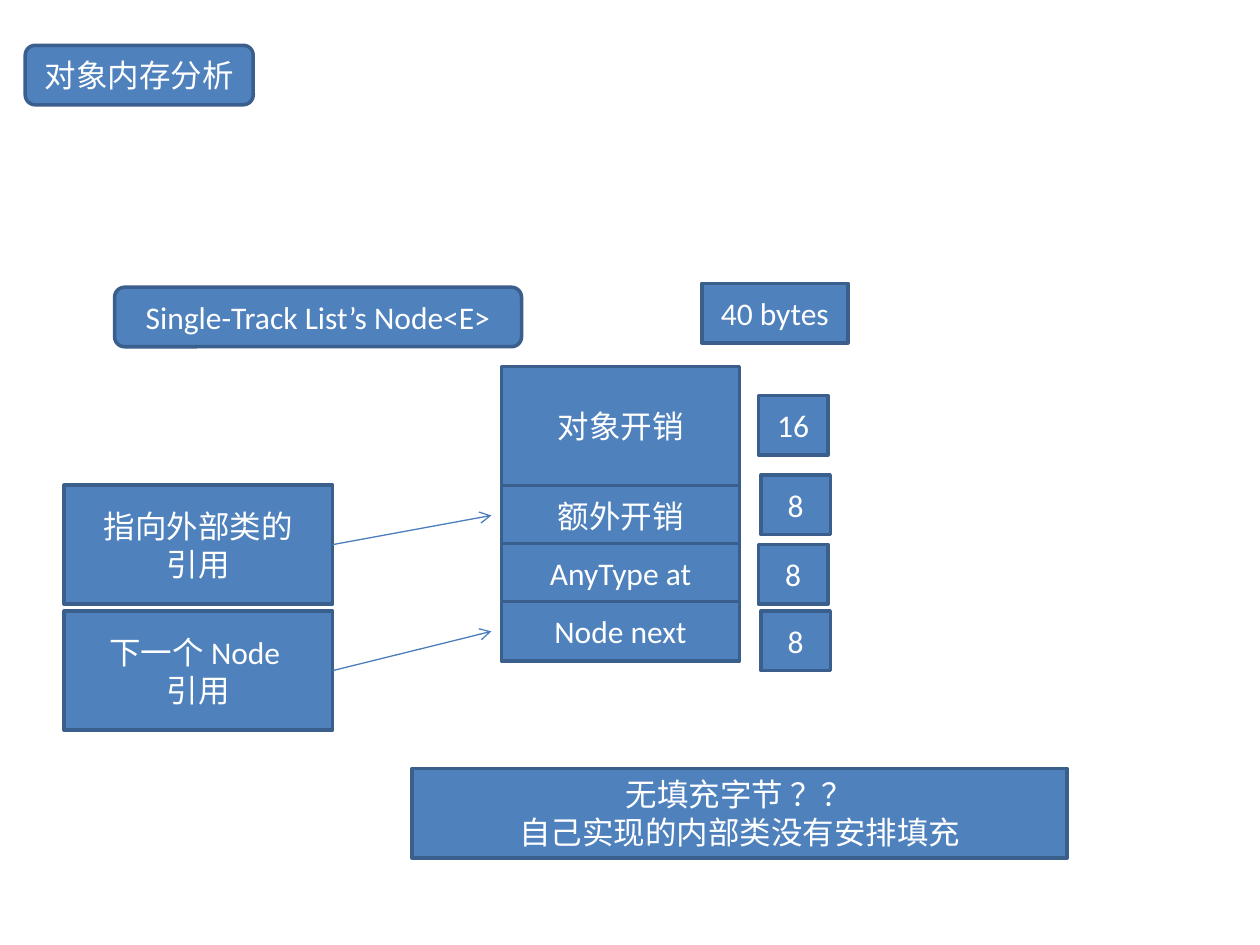
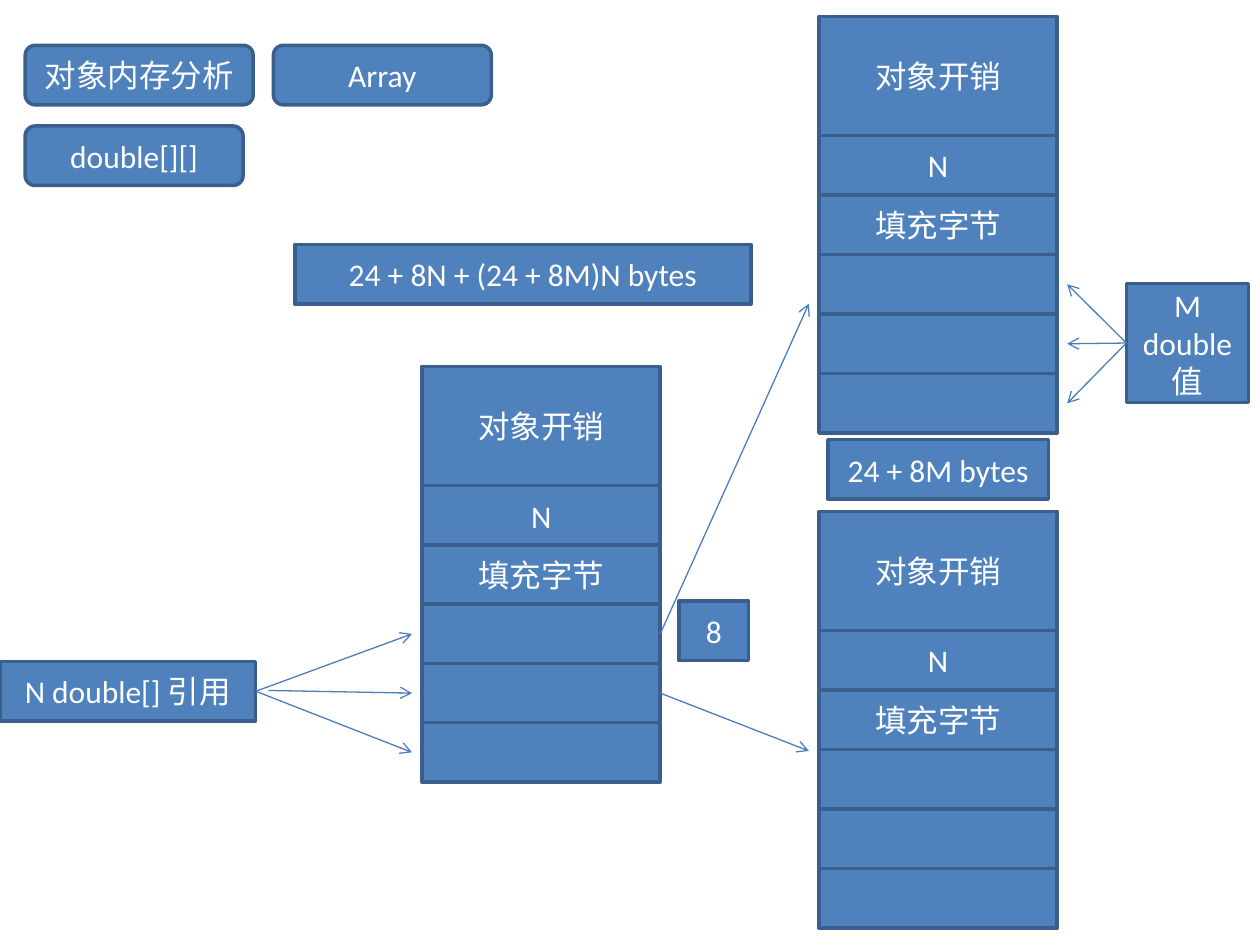
"""Build two slides on the memory layout of list nodes and 2-D arrays."""
from lxml import etree
from pptx import Presentation
from pptx import util as u
from pptx.dml.color import RGBColor
from pptx.enum import shapes, text
from pptx.oxml import ns

FILL = RGBColor(0x4F, 0x81, 0xBD)
EDGE = RGBColor(0x3A, 0x5F, 0x8C)
WIRE = RGBColor(0x4B, 0x7E, 0xBC)
INK = RGBColor(0xFF, 0xFF, 0xFF)
FONT = "Calibri"
WIDE, HIGH = 10, 7.5
ROW = u.Cm(1.2).inches
CELL = 1.89
CHIP = 0.55
GAP = 0.08
LEFT, RIGHT = 1, 3

TITLE = ("对象内存分析", 0.2, 0.36, 1.81)
ARRAY = ["对象开销", "N", "填充字节", "", "", ""]

# Tags and boxes: text, left, top, width (boxes also: name, rows high).
# Stacks: name, left, top, row pitch, row texts.
NODE = {
    "tags": [TITLE, ("Single-Track List’s Node<E>", 0.91, 2.28, 3.23)],
    "stacks": [("node", 3.98, 2.91, 0.46,
                ["对象开销", "额外开销", "AnyType at", "Node next"])],
    "boxes": [
        ("size", "40 bytes", 5.57, 2.25, 1.16, 1),
        ("head", "16", 6.02, 3.14, CHIP, 1),
        ("extra", "8", 6.04, 3.77, CHIP, 1),
        ("item", "8", 6.02, 4.32, CHIP, 1),
        ("link", "8", 6.04, 4.85, CHIP, 1),
        ("outer", "指向外部类的\n引用", 0.51, 3.85, 2.13, 2),
        ("next", "下一个 Node \n引用", 0.51, 4.85, 2.13, 2),
        ("note", "无填充字节 ？？\n自己实现的内部类没有安排填充", 3.27, 6.1, 5.2, 1.5),
    ],
    "wires": [("outer", RIGHT, "node", 1, LEFT), ("next", RIGHT, "node", 3, LEFT)],
}
GRID = {
    "tags": [TITLE, ("Array", 2.17, 0.36, 1.73), ("double[][]", 0.2, 1, 1.73)],
    "stacks": [("main", 3.35, 2.91, 0.47, ARRAY),
               ("top", 6.5, 0.13, ROW, ARRAY),
               ("low", 6.5, 4.06, ROW, ARRAY)],
    "boxes": [
        ("total", "24 + 8N + (24 + 8M)N bytes", 2.34, 1.94, 3.62, 1),
        ("refs", "N double[] 引用", 0, 5.25, 2.03, 1),
        ("part", "24 + 8M bytes", 6.57, 3.49, 1.75, 1),
        ("eight", "8", 5.39, 4.77, CHIP, 1),
        ("vals", "M double 值", 8.94, 2.25, 0.97, 2),
    ],
    "wires": [("refs", RIGHT, "main", 3, LEFT),
              ((2.13, 5.48), RIGHT, "main", 4, LEFT),
              ("refs", RIGHT, "main", 5, LEFT),
              (("main", 3), RIGHT, (6.42, 2.41)),
              (("main", 4), RIGHT, "low", 3.5, LEFT)]
             + [("vals", LEFT, "top", row, RIGHT) for row in (3, 4, 5)],
}
GRID["wires"][4] = (("main", 4), RIGHT, (6.42, 5.96))


def box(slide, words, left, top, wide, rows=1, kind=shapes.MSO_SHAPE.RECTANGLE):
    """Draw one framed box with centred text."""
    spot = [u.Inches(n) for n in (left, top, wide, rows * ROW)]
    shape = slide.shapes.add_shape(kind, *spot)
    shape.shadow.inherit = False
    shape.fill.solid()
    shape.fill.fore_color.rgb = FILL
    shape.line.color.rgb = EDGE
    shape.line.width = u.Pt(2)
    frame = shape.text_frame
    frame.word_wrap = True
    frame.vertical_anchor = text.MSO_ANCHOR.MIDDLE
    for i, line in enumerate(words.split("\n") if words else []):
        para = frame.add_paragraph() if i else frame.paragraphs[0]
        para.alignment = text.PP_ALIGN.CENTER
        run = para.add_run()
        run.text = line
        run.font.name, run.font.size = FONT, u.Pt(18)
        run.font.color.rgb = INK
    return shape


def stack(slide, left, top, pitch, words):
    """Draw a double-height head cell and single cells below it."""
    cells = [box(slide, words[0], left, top, CELL, 2)]
    for i, word in enumerate(words[1:]):
        cells.append(box(slide, word, left, top + 2 * ROW + i * pitch, CELL))
    return cells


def side(shape, edge, gap=0):
    """Give the middle of a shape's left or right side, in EMU."""
    x = shape.left - gap if edge == LEFT else shape.left + shape.width + gap
    return x, shape.top + shape.height // 2


def wire(slide, parts, start, edge, *goal):
    """Draw an arrow from a part or point to a point or beside a cell."""
    if len(goal) == 1:
        end = [u.Inches(n) for n in goal[0]]
    else:
        name, row, near = goal
        end = side(parts[name, row], near, u.Inches(GAP))
    shape = parts.get(start)
    begin = side(shape, edge) if shape else [u.Inches(n) for n in start]
    line = slide.shapes.add_connector(shapes.MSO_CONNECTOR.STRAIGHT, *begin, *end)
    if shape:
        line.begin_connect(shape, edge)
    line.line.color.rgb = WIRE
    line.line.width = u.Pt(0.75)
    props = line._element.spPr
    etree.SubElement(props.find(ns.qn("a:ln")), ns.qn("a:tailEnd"), type="arrow")
    etree.SubElement(props, ns.qn("a:effectLst"))


def draw(deck, plan):
    """Draw one slide from its plan."""
    slide = deck.slides.add_slide(deck.slide_layouts[6])
    parts = {}
    for tag in plan["tags"]:
        box(slide, *tag, kind=shapes.MSO_SHAPE.ROUNDED_RECTANGLE)
    for name, *spot in plan["stacks"]:
        for row, cell in enumerate(stack(slide, *spot)):
            parts[name, row] = cell
    for name, *spot in plan["boxes"]:
        parts[name] = box(slide, *spot)
    for link in plan["wires"]:
        wire(slide, parts, *link)


def main():
    """Build and save the deck."""
    deck = Presentation()
    deck.slide_width, deck.slide_height = u.Inches(WIDE), u.Inches(HIGH)
    for plan in (NODE, GRID):
        draw(deck, plan)
    deck.save("out.pptx")


if __name__ == "__main__":
    main()
